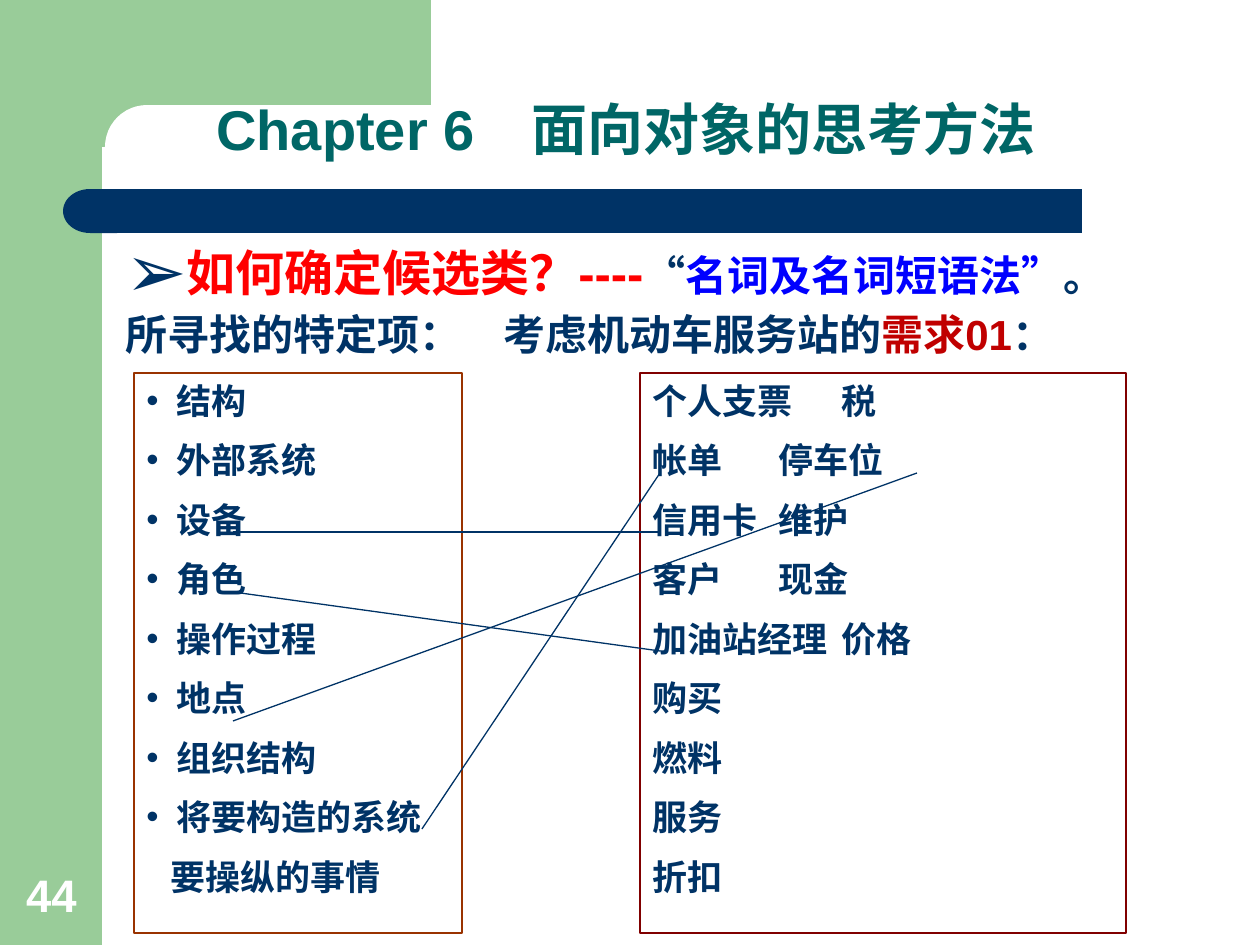
import pptx
import pptx.dml.color
import pptx.enum.shapes
import pptx.enum.text
import pptx.oxml.ns
import pptx.util
from lxml import etree

SCALE = 914400 / 126
NAVY = "003366"
GREEN = "99CC99"
WHITE = "FFFFFF"
SHAPE = pptx.enum.shapes.MSO_SHAPE
ANCHOR = pptx.enum.text.MSO_ANCHOR
ALIGN = pptx.enum.text.PP_ALIGN


def px(length):
    return pptx.util.Emu(round(length * SCALE))


def color(value):
    return pptx.dml.color.RGBColor.from_string(value)


def add_child(parent, tag, **attributes):
    child = etree.SubElement(parent, pptx.oxml.ns.qn(tag))
    for name, value in attributes.items():
        child.set(name, str(value))
    return child


def add_block(page, kind, left, top, width, height, fill=None, line=None):
    block = page.shapes.add_shape(kind, px(left), px(top), px(width), px(height))
    block.shadow.inherit = False
    if fill:
        block.fill.solid()
        block.fill.fore_color.rgb = color(fill)
    else:
        block.fill.background()
    if line:
        block.line.color.rgb = color(line)
        block.line.width = pptx.util.Pt(0.75)
    else:
        block.line.fill.background()
    return block


def add_box(page, left, top, width, height, anchor=ANCHOR.TOP):
    box = page.shapes.add_textbox(px(left), px(top), px(width), px(height))
    box.text_frame.word_wrap = True
    box.text_frame.vertical_anchor = anchor
    return box


def add_frame(page, left, top, width, height, line):
    frame = add_block(page, SHAPE.RECTANGLE, left, top, width, height, line=line)
    frame.text_frame.word_wrap = True
    frame.text_frame.vertical_anchor = ANCHOR.TOP
    return frame


def add_line(page, start, end):
    line = page.shapes.add_connector(
        pptx.enum.shapes.MSO_CONNECTOR.STRAIGHT, *map(px, start + end))
    line.line.color.rgb = color(NAVY)
    line.line.width = pptx.util.Pt(0.75)
    add_child(line._element.spPr, "a:effectLst")


def write(box, text, size=20, ink=NAVY, new=True, first=False, align=ALIGN.LEFT,
          spacing=None, before=0, margin=0, hanging=0, bullet=None,
          bullet_size=100, tab=None):
    frame = box.text_frame
    if new and not first:
        para = frame.add_paragraph()
    else:
        para = frame.paragraphs[-1]
    if new:
        props = para._p.get_or_add_pPr()
        props.set("marL", str(px(margin)))
        props.set("indent", str(px(-hanging)))
        if bullet:
            add_child(add_child(props, "a:buClr"), "a:srgbClr", val=NAVY)
            add_child(props, "a:buSzPct", val=bullet_size * 1000)
            add_child(props, "a:buFont", typeface="Arial")
            add_child(props, "a:buChar", char=bullet)
        else:
            add_child(props, "a:buNone")
        if tab:
            add_child(add_child(props, "a:tabLst"), "a:tab", pos=px(tab), algn="l")
        para.alignment = align
        if spacing:
            para.line_spacing = spacing
        if before and not first:
            para.space_before = pptx.util.Pt(before)
    span = para.add_run()
    span.text = text
    span.font.name = "Arial"
    span.font.size = pptx.util.Pt(size)
    span.font.bold = True
    span.font.color.rgb = color(ink)


def add_background(page):
    add_block(page, SHAPE.RECTANGLE, 0, 0, 102, 945, GREEN)
    add_block(page, SHAPE.RECTANGLE, 92, 0, 339, 147, GREEN)
    panel = add_block(page, SHAPE.ROUNDED_RECTANGLE, 105, 105, 703, 84, WHITE)
    panel.adjustments[0] = 0.5
    add_block(page, SHAPE.RECTANGLE, 116, 189, 966, 44, NAVY)
    cap = add_block(page, SHAPE.FLOWCHART_DELAY, 63, 189, 54, 44, NAVY)
    cap.rotation = 180


def add_headings(page):
    number = add_box(page, 11, 861, 81, 67, ANCHOR.BOTTOM)
    write(number, "44", 26, WHITE, first=True, align=ALIGN.CENTER)
    title = add_box(page, 204, 53, 1025, 116, ANCHOR.BOTTOM)
    write(title, "Chapter 6\t面向对象的思考方法", 32, "006666", first=True,
          spacing=0.9, tab=304)
    body = add_box(page, 113, 234, 1147, 130)
    write(body, "如何确定候选类？----", 28, "FF0000", first=True, margin=48,
          hanging=48, bullet="➢", bullet_size=150, spacing=pptx.util.Pt(35))
    write(body, "“", 24, new=False)
    write(body, "名词及名词短语法”", 24, "0000FF", new=False)
    write(body, "。", 24, new=False)
    write(body, "所寻找的特定项：\t考虑机动车服务站的", 24, before=4,
          spacing=pptx.util.Pt(29), tab=461)
    write(body, "需求01", 24, "C00000", new=False)
    write(body, "：", 24, new=False)


def add_lists(page):
    row = {"spacing": pptx.util.Pt(24), "before": 10}
    items = ["结构", "外部系统", "设备", "角色", "操作过程", "地点", "组织结构",
             "将要构造的系统"]
    frame = add_frame(page, 134, 373, 328, 560, "993300")
    for index, item in enumerate(items):
        write(frame, item, first=index == 0, margin=30, hanging=30, bullet="•", **row)
    write(frame, "要操纵的事情", margin=24, **row)

    nouns = [("个人支票\t税", 251), ("帐单\t停车位", 237), ("信用卡\t维护", 240),
             ("客户\t现金", 237), ("加油站经理\t价格", 254), ("购买", None),
             ("燃料", None), ("服务", None), ("折扣", None)]
    frame = add_frame(page, 640, 373, 486, 560, "800000")
    for index, (noun, tab) in enumerate(nouns):
        write(frame, noun, first=index == 0, tab=tab, **row)


def main():
    deck = pptx.Presentation()
    deck.slide_width = px(1260)
    deck.slide_height = px(945)
    page = deck.slides.add_slide(deck.slide_layouts[6])
    add_background(page)
    add_headings(page)
    add_lists(page)
    for start, end in [((233, 721), (917, 473)), ((233, 532), (660, 532)),
                       ((233, 592), (660, 651)), ((422, 829), (660, 473))]:
        add_line(page, start, end)
    deck.save("out.pptx")


if __name__ == "__main__":
    main()
